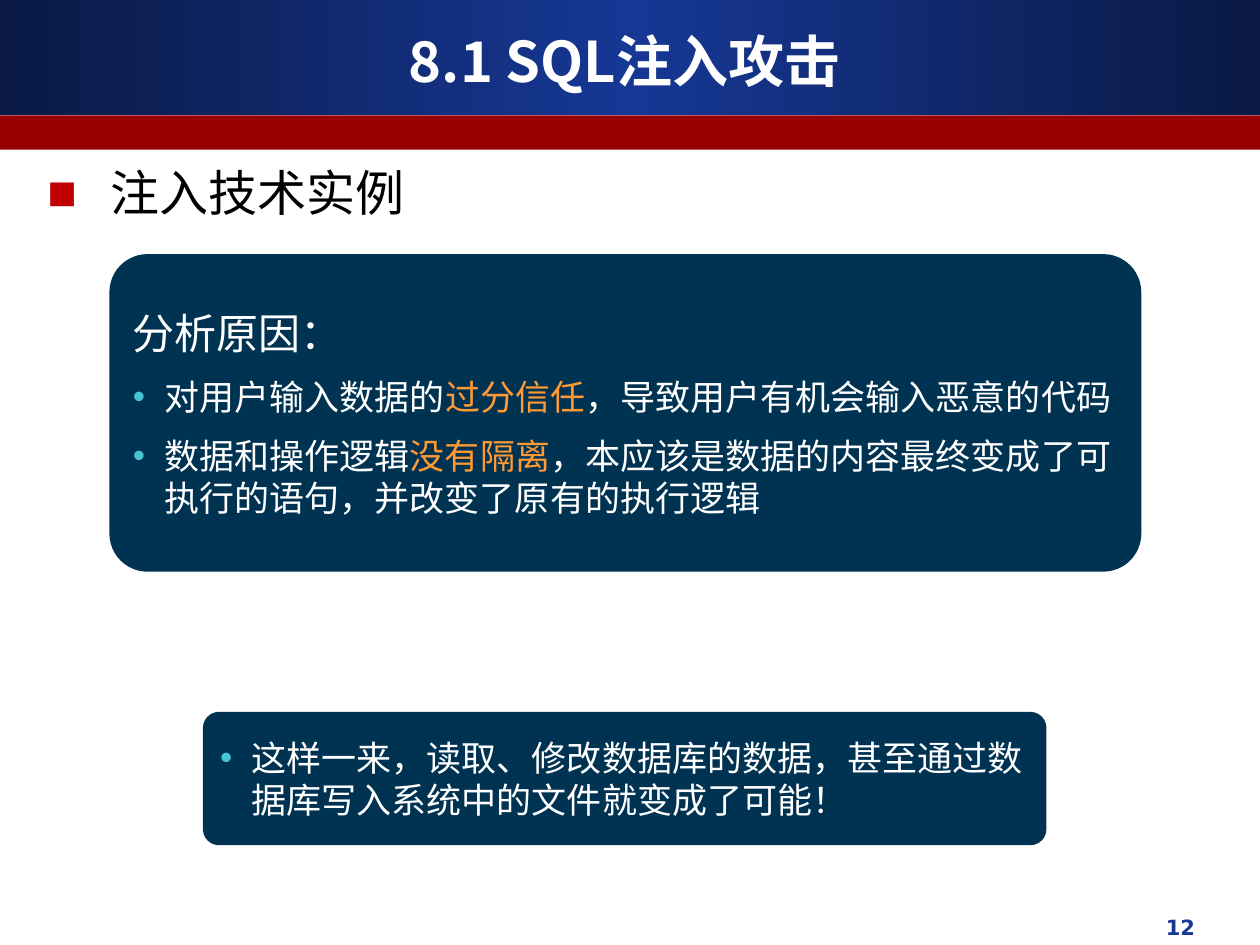
"""Build the slide on the causes of SQL injection."""
from copy import deepcopy

from lxml import etree
from pptx import Presentation
from pptx.dml.color import RGBColor
from pptx.enum.shapes import MSO_SHAPE
from pptx.enum.text import MSO_ANCHOR, PP_ALIGN
from pptx.oxml.ns import qn
from pptx.util import Pt

RECT, ROUND = MSO_SHAPE.RECTANGLE, MSO_SHAPE.ROUNDED_RECTANGLE
TOP, MID = MSO_ANCHOR.TOP, MSO_ANCHOR.MIDDLE
LEFT, MIDDLE, RIGHT = PP_ALIGN.LEFT, PP_ALIGN.CENTER, PP_ALIGN.RIGHT
HAN, LATIN, MARK = "Noto Sans CJK SC", "DejaVu Sans", "Arial"
COLORS = {
    "edge": "0A1A45", "blue": "163794", "red": "990000", "square": "C00000",
    "panel": "003352", "dot": "47C3D3", "accent": "FF9933",
    "white": "FFFFFF", "black": "000000",
}
SQUARE = ("■", "square", 36)
DOT = ("•", "dot", 18)

WIDTH, HEIGHT = 720, 540
HEADER = (0, 0, WIDTH, 65.5)
STRIPE = (0, 66, WIDTH, 19.5)
LABELS = [
    ((24, 12, 666, 45), MID, ["8.1 SQL注入攻击"],
     dict(size=32, color="white", bold=True, align=MIDDLE)),
    ((462, 519, 228, 25), TOP, ["12"],
     dict(size=12, color="blue", bold=True, align=RIGHT, face=LATIN)),
    ((20, 89.5, 650, 41), TOP, ["注入技术实例"],
     dict(size=28, color="black", mark=SQUARE)),
]
PANELS = [
    ((62.5, 145.2, 589.7, 181.5), [
        (["分析原因："], 24, None),
        (["对用户输入数据的", ("过分信任",), "，导致用户有机会输入恶意的代码"], 20, DOT),
        (["数据和操作逻辑", ("没有隔离",),
          "，本应该是数据的内容最终变成了可执行的语句，并改变了原有的执行逻辑"], 20, DOT),
    ]),
    ((116, 406.8, 482, 76.2), [
        (["这样一来，读取、修改数据库的数据，甚至通过数据库写入系统中的文件就变成了可能！"], 20, DOT),
    ]),
]


def rgb(name):
    return RGBColor.from_string(COLORS[name])


def add_mark(para, mark):
    char, color, indent = mark
    props = para._p.get_or_add_pPr()
    props.set("marL", str(Pt(indent)))
    props.set("indent", str(-Pt(indent)))
    tint = etree.SubElement(props, qn("a:buClr"))
    etree.SubElement(tint, qn("a:srgbClr"), val=COLORS[color])
    etree.SubElement(props, qn("a:buFont"), typeface=MARK)
    etree.SubElement(props, qn("a:buChar"), char=char)


def write(para, parts, size, color, mark=None, bold=False, align=LEFT, face=HAN):
    para.alignment = align
    if mark:
        add_mark(para, mark)
    font = para.font
    font.size, font.bold, font.name = Pt(size), bold, face
    font.color.rgb = rgb(color)
    base = para._p.pPr.find(qn("a:defRPr"))
    etree.SubElement(base, qn("a:ea"), typeface=face)
    for part in parts:
        run = para.add_run()
        if isinstance(part, tuple):
            run.text = part[0]
            run.font.color.rgb = rgb("accent")
        else:
            run.text = part


def add_box(slide, kind, place, color):
    box = slide.shapes.add_shape(kind, *map(Pt, place))
    box.shadow.inherit = False
    box.fill.solid()
    box.fill.fore_color.rgb = rgb(color)
    box.line.fill.background()
    return box


def add_header(slide):
    fill = add_box(slide, RECT, HEADER, "blue").fill
    fill.gradient()
    fill.gradient_angle = 0
    first, last = fill.gradient_stops
    for stop, spot, color in ((first, 0, "edge"), (last, 0.5, "blue")):
        stop.position = spot
        stop.color.rgb = rgb(color)
    end = deepcopy(first._gs)
    end.set("pos", "100000")
    last._gs.addnext(end)


def add_label(slide, place, anchor, parts, style):
    frame = slide.shapes.add_textbox(*map(Pt, place)).text_frame
    frame.word_wrap = True
    frame.vertical_anchor = anchor
    write(frame.paragraphs[0], parts, **style)


def add_panel(slide, place, items):
    box = add_box(slide, ROUND, place, "panel")
    box.adjustments[0] = 0.12
    frame = box.text_frame
    frame.word_wrap = True
    frame.vertical_anchor = MID
    for i, (parts, size, mark) in enumerate(items):
        para = frame.add_paragraph() if i else frame.paragraphs[0]
        para.space_before = Pt(6 if i else 0)
        para.space_after = Pt(4)
        write(para, parts, size, "white", mark)


def main():
    deck = Presentation()
    deck.slide_width, deck.slide_height = Pt(WIDTH), Pt(HEIGHT)
    slide = deck.slides.add_slide(deck.slide_layouts[6])
    add_header(slide)
    add_box(slide, RECT, STRIPE, "red")
    for label in LABELS:
        add_label(slide, *label)
    for panel in PANELS:
        add_panel(slide, *panel)
    deck.save("out.pptx")


if __name__ == "__main__":
    main()
